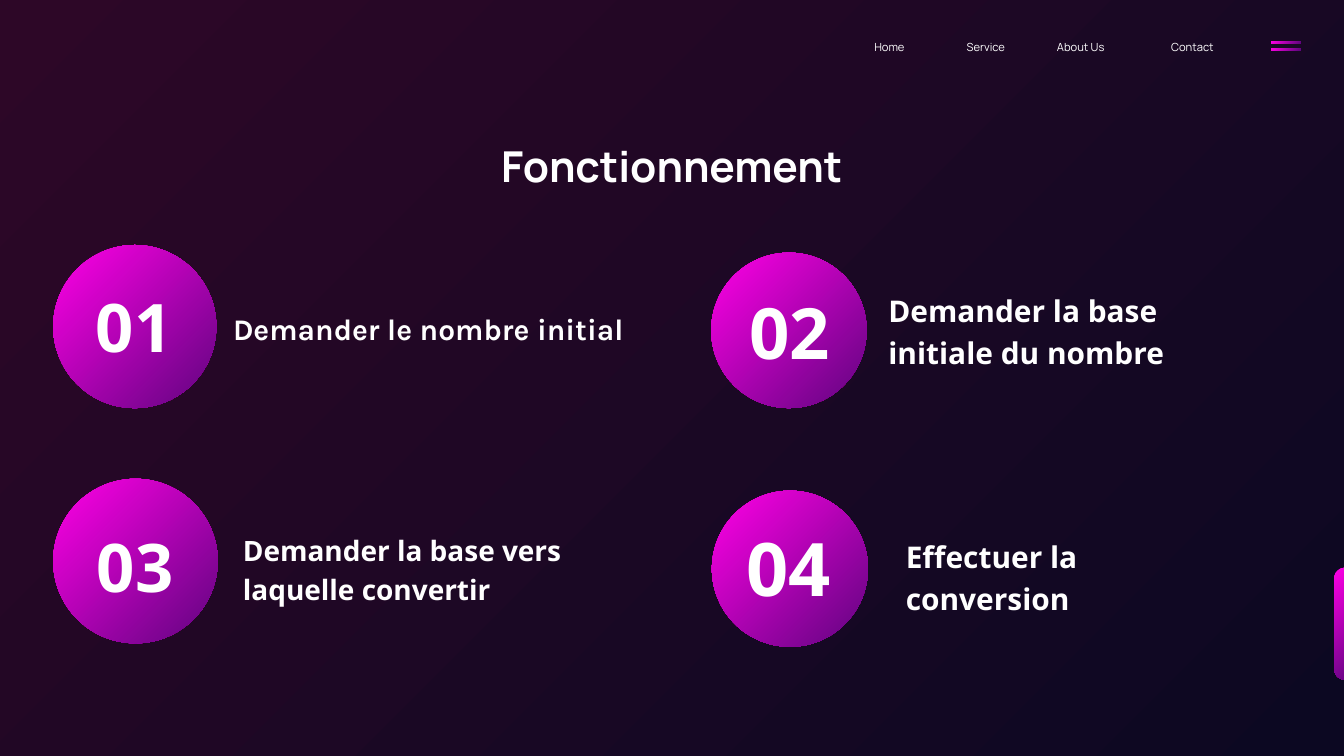
from pptx import Presentation, util as u
from pptx.dml.color import RGBColor
from pptx.enum import shapes, text

HUES = {"white": "FFFFFF", "pink": "FF00E6", "plum": "60057F",
        "wine": "2D0727", "navy": "0C0822"}
SHAPE = shapes.MSO_SHAPE
ALIGN = text.PP_ALIGN
SCALE = 9525


def px(*vals):
    return [u.Emu(val * SCALE) for val in vals]


class Deck:
    def __init__(self, wide, high):
        self.prs = Presentation()
        self.prs.slide_width, self.prs.slide_height = px(wide, high)
        self.slide = self.prs.slides.add_slide(self.prs.slide_layouts[5])
        self.blend(self.slide.background.fill, "wine", "navy")

    def blend(self, fill, start, end):
        fill.gradient()
        fill.gradient_angle = 315
        for stop, hue in zip(fill.gradient_stops, (start, end)):
            stop.color.rgb = RGBColor.from_string(HUES[hue])

    def shape(self, kind, *box):
        item = self.slide.shapes.add_shape(kind, *px(*box))
        item.shadow.inherit = False
        item.line.fill.background()
        self.blend(item.fill, "pink", "plum")
        return item

    def style(self, item, words, size, face, bold, align, lead):
        frame = item.text_frame
        frame.word_wrap = True
        frame.auto_size = text.MSO_AUTO_SIZE.SHAPE_TO_FIT_TEXT
        frame.vertical_anchor = text.MSO_ANCHOR.TOP
        frame.margin_left = frame.margin_right = 0
        frame.margin_top = frame.margin_bottom = 0
        para = frame.paragraphs[0]
        para.text = words
        para.alignment = align
        para.line_spacing = u.Pt(round(size * lead, 1))
        para.space_before = u.Pt(0)
        font = para.font
        font.name, font.size, font.bold = face, u.Pt(size), bold
        font.color.rgb = RGBColor.from_string(HUES["white"])

    def title(self, words, box, size):
        item = self.slide.shapes.title
        item.left, item.top, item.width, item.height = px(*box)
        self.style(item, words, size, "Manrope", True, ALIGN.LEFT, 1.17)

    def label(self, words, box, size, face="Open Sans", bold=True, align=ALIGN.LEFT):
        item = self.slide.shapes.add_textbox(*px(*box))
        self.style(item, words, size, face, bold, align, 1.4)

    def step(self, num, disc, spot, size):
        left, top, side = disc
        self.shape(SHAPE.OVAL, left, top, side, side)
        self.label(num, spot, size, align=ALIGN.CENTER)

    def save(self):
        self.prs.save("out.pptx")


def main():
    deck = Deck(1920, 1080)

    for top in (59, 69):
        deck.shape(SHAPE.RECTANGLE, 1816, top, 42, 3)
    tab = deck.shape(SHAPE.ROUNDED_RECTANGLE, 1906, 811, 31, 160)
    tab.adjustments[0] = 0.5

    for words, left, wide in (("Home", 1249, 85), ("Service", 1381, 77),
                              ("About Us", 1510, 111), ("Contact", 1673, 103)):
        deck.label(words, (left, 54, wide, 22), 12, "Manrope", False)

    deck.title("Fonctionnement", (716, 201, 533, 77), 45.6)

    deck.step("01", (76, 350, 233), (88, 389, 207, 128), 71.7)
    deck.step("02", (1016, 361, 222), (1019, 393, 219, 133), 75.7)
    deck.step("03", (76, 684, 235), (96, 732, 194, 127), 71.8)
    deck.step("04", (1017, 701, 223), (1012, 725, 228, 139), 79.1)

    deck.label("Demander le nombre initial", (327, 435, 570, 57), 32,
               "Karla", align=ALIGN.CENTER)
    deck.label("Demander la base initiale du nombre", (1269, 410, 404, 115), 32)
    deck.label("Demander la base vers laquelle convertir", (347, 754, 457, 110), 30)
    deck.label("Effectuer la conversion", (1294, 761, 258, 115), 32)

    deck.save()


if __name__ == "__main__":
    main()
